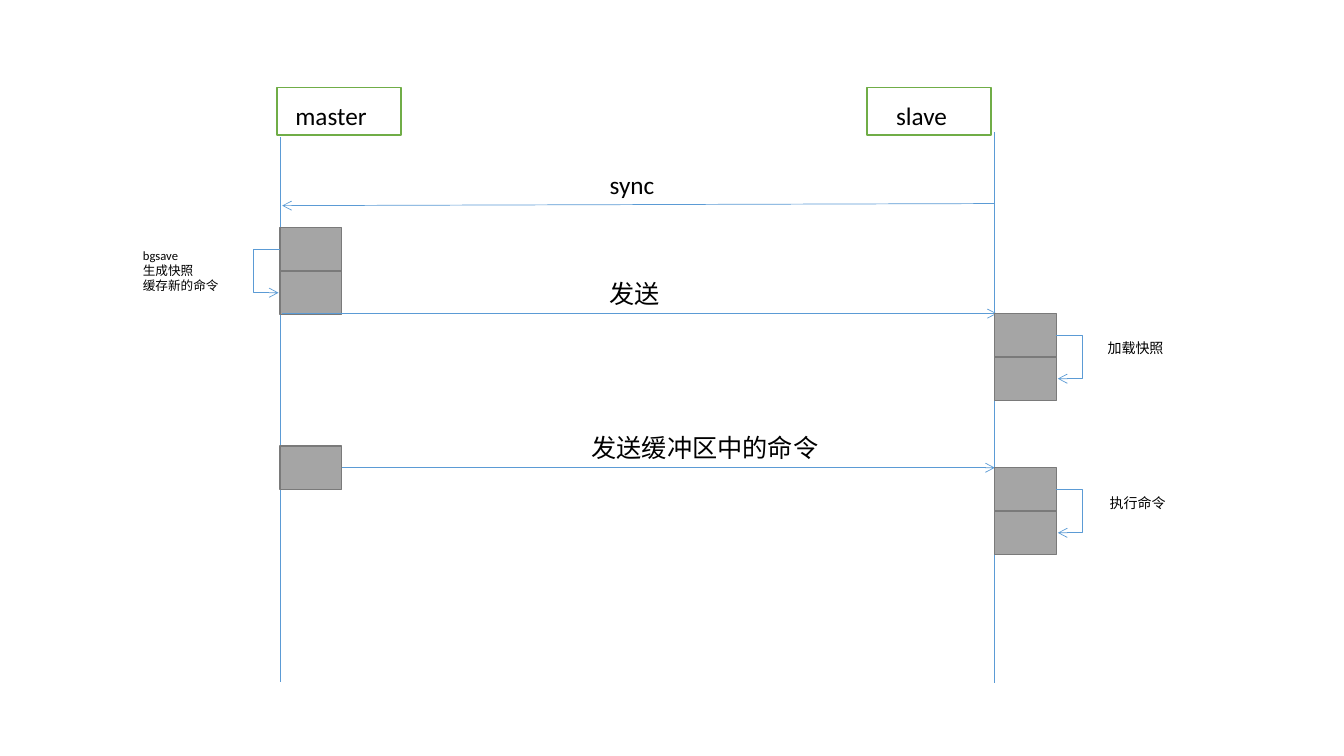
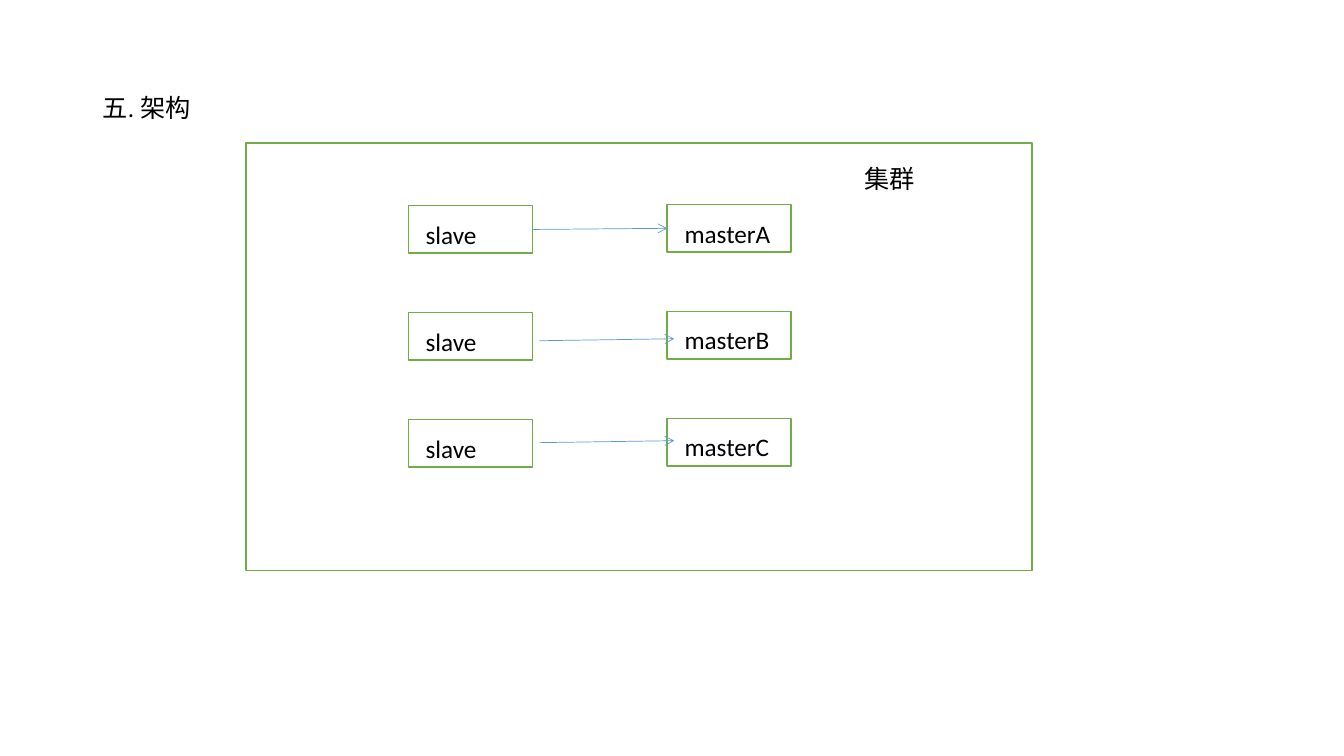
from pptx import Presentation
from pptx.dml.color import RGBColor
from pptx.enum.shapes import MSO_CONNECTOR as CONN, MSO_SHAPE as SHAPE
from pptx.enum.text import MSO_ANCHOR as ANCHOR, MSO_AUTO_SIZE as AUTO, PP_ALIGN as ALIGN
from pptx.oxml.ns import qn
from pptx.util import Pt
from lxml.etree import SubElement

FONT = "Calibri"
BLACK, WHITE, GREEN = "000000", "FFFFFF", "70AD47"
BLUE, GRAY, DARK_GRAY = "5B9BD5", "A5A5A5", "7A7A7A"
NODE_W, NODE_H = 88.6, 33.8
BLOCK_W, BLOCK_H = 44, 31
LEFT, RIGHT = 1, 3


def rgb(color):
    """Turn a hex string into a colour."""
    return RGBColor.from_string(color)


def write(tf, lines, size=18):
    """Fill a text frame with left-aligned lines from the top."""
    tf.word_wrap = True
    tf.auto_size = AUTO.NONE
    tf.vertical_anchor = ANCHOR.TOP
    for i, line in enumerate(lines):
        p = tf.add_paragraph() if i else tf.paragraphs[0]
        p.alignment = ALIGN.LEFT
        r = p.add_run()
        r.text = line
        r.font.size, r.font.name = Pt(size), FONT
        r.font.color.rgb = rgb(BLACK)


def add_label(s, x, y, w, h, *lines, size=18):
    """Place a free label."""
    tb = s.shapes.add_textbox(Pt(x), Pt(y), Pt(w), Pt(h))
    write(tb.text_frame, lines, size)


def add_rect(s, x, y, w, h, fill=WHITE, line=GREEN):
    """Place an outlined rectangle."""
    sp = s.shapes.add_shape(SHAPE.RECTANGLE, Pt(x), Pt(y), Pt(w), Pt(h))
    sp.shadow.inherit = False
    sp.fill.solid()
    sp.fill.fore_color.rgb = rgb(fill)
    sp.line.color.rgb = rgb(line)
    sp.line.width = Pt(1)
    return sp


def add_node(s, x, y, name, indent=12.4):
    """Place a named server box."""
    sp = add_rect(s, x, y, NODE_W, NODE_H)
    tf = sp.text_frame
    tf.margin_left, tf.margin_top = Pt(indent), Pt(9.4)
    tf.margin_right = tf.margin_bottom = 0
    write(tf, [name])
    return sp


def add_line(s, x1, y1, x2, y2, arrow=True, kind=CONN.STRAIGHT):
    """Draw a thin connector, with an open arrowhead if asked."""
    c = s.shapes.add_connector(kind, Pt(x1), Pt(y1), Pt(x2), Pt(y2))
    c.line.color.rgb = rgb(BLUE)
    c.line.width = Pt(0.5)
    sp_pr = c._element.spPr
    if arrow:
        SubElement(sp_pr.find(qn("a:ln")), qn("a:tailEnd"), type="arrow")
    SubElement(sp_pr, qn("a:effectLst"))
    return c


def add_blocks(s, x, y, count):
    """Stack activity blocks downwards from a corner."""
    return [add_rect(s, x, y + i * BLOCK_H, BLOCK_W, BLOCK_H, GRAY, DARK_GRAY)
            for i in range(count)]


def add_self_call(s, x, y, side):
    """Stack two blocks and loop an arrow from the first to the second."""
    first, second = add_blocks(s, x, y, 2)
    edge, step = (x, -1) if side == LEFT else (x + BLOCK_W, 1)
    top = y + BLOCK_H / 2
    c = add_line(s, edge, top, edge + step, top + BLOCK_H, kind=CONN.ELBOW)
    c.begin_connect(first, side)
    c.end_connect(second, side)
    c.end_x = Pt(edge + step)
    guides = c._element.spPr.find(qn("a:prstGeom")).get_or_add_avLst()
    SubElement(guides, qn("a:gd"), name="adj1", fmla="val 1880000")


def sync_sequence(s, x, y, w, h):
    """Draw the replication sequence between two lifelines."""
    right = x + w
    add_node(s, x - 2, y, "master", 13)
    add_node(s, right - 91.4, y, "slave", 20.9)
    add_line(s, x, y + 35.4, x, y + h - 1.4, arrow=False)
    add_line(s, right, y + 31.8, right, y + h, arrow=False)

    add_line(s, right, y + 82.8, x + 1.6, y + 84.3)
    add_label(s, x + 228.4, y + 54.8, 100, 29, "sync")

    add_self_call(s, x, y + 100, LEFT)
    add_label(s, x - 105, y + 110.9, 85, 40, "bgsave", "生成快照", "缓存新的命令", size=9)

    add_line(s, x + 1.6, y + 161.4, right + 1.4, y + 161.4)
    add_label(s, x + 228.4, y + 132.5, 60, 29, "发送")
    add_self_call(s, right, y + 161.4, RIGHT)
    add_label(s, right + 73.5, y + 176.4, 65, 19, "加载快照", size=10)

    sender, = add_blocks(s, x, y + 256, 1)
    middle = y + 256 + BLOCK_H / 2
    c = add_line(s, x + BLOCK_W, middle, right, middle)
    c.begin_connect(sender, RIGHT)
    add_label(s, x + 215.4, y + 242.7, 190, 29, "发送缓冲区中的命令")
    add_self_call(s, right, middle, RIGHT)
    add_label(s, right + 75, y + 287.3, 65, 19, "执行命令", size=10)


def add_title(s, x, y, w, h, text):
    """Move and fill the title placeholder."""
    t = s.shapes.title
    t.left, t.top, t.width, t.height = Pt(x), Pt(y), Pt(w), Pt(h)
    write(t.text_frame, [text])


def cluster(s, x, y, w, h):
    """Draw the cluster frame with its slave and master pairs."""
    add_rect(s, x, y, w, h)
    add_label(s, x + 434.9, y + 10.8, 60, 29, "集群")
    slave_x, master_x = x + 115.9, x + 300.9
    for i, name in enumerate(["masterA", "masterB", "masterC"]):
        top = y + 44 + i * 76.4
        master = add_node(s, master_x, top, name)
        slave = add_node(s, slave_x, top + 0.8, "slave")
        shift, drop = [(0, 17.7), (5, 20.8), (5, 17.2)][i]
        c = add_line(s, slave_x + NODE_W + shift, top + drop,
                     master_x + shift, top + drop - 1.4)
        if not shift:
            c.begin_connect(slave, RIGHT)
            c.end_connect(master, LEFT)


def main():
    """Build both slides and save them."""
    prs = Presentation()
    prs.slide_width, prs.slide_height = Pt(960), Pt(540)
    title_only, blank = prs.slide_layouts[5], prs.slide_layouts[6]
    sync_sequence(prs.slides.add_slide(blank), 200, 62.6, 510.6, 425.6)
    s = prs.slides.add_slide(title_only)
    add_title(s, 66.2, 62, 200, 29, "五. 架构")
    cluster(s, 175.7, 102.2, 561.6, 305.3)
    prs.save("out.pptx")


if __name__ == "__main__":
    main()
